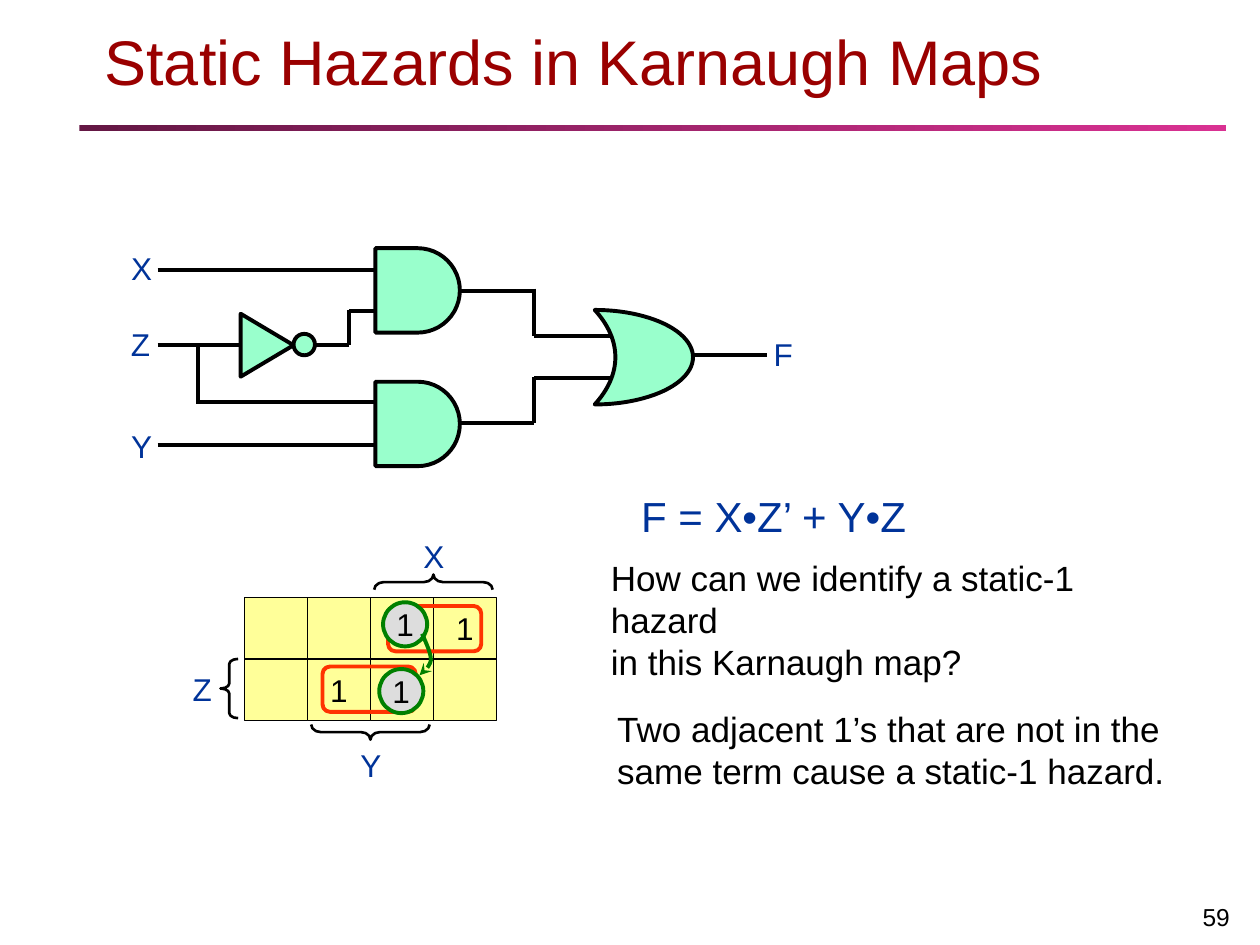
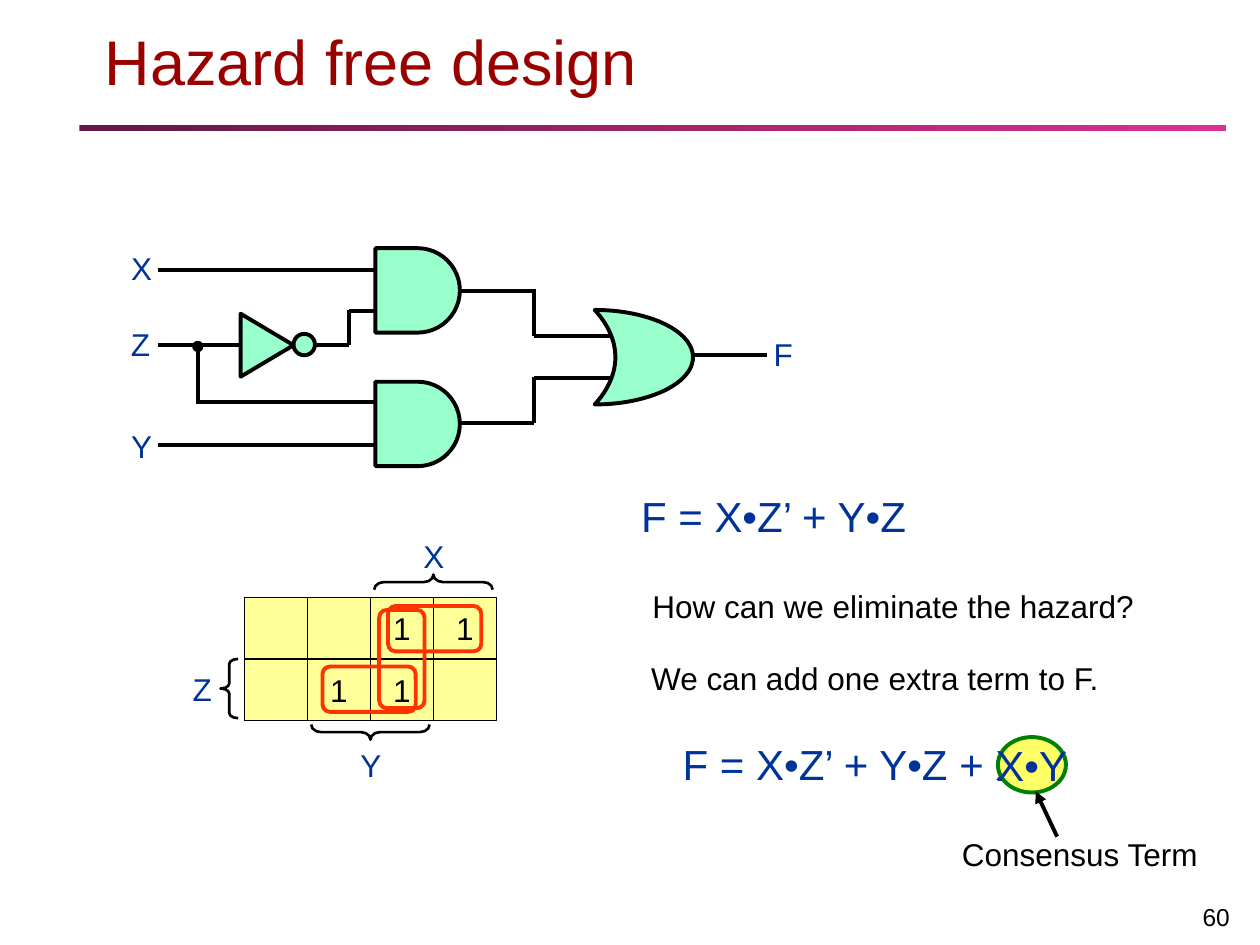
from pptx import Presentation
from pptx.dml.color import RGBColor
from pptx.enum.shapes import MSO_CONNECTOR, MSO_SHAPE
from pptx.enum.text import MSO_ANCHOR, MSO_AUTO_SIZE, PP_ALIGN
from pptx.oxml.xmlchemy import OxmlElement
from pptx.util import Inches, Pt

BLACK = "000000"
BLUE = "003399"
GREEN = "008000"
ORANGE = "FF3300"
MINT = "99FFCC"
CELL_YELLOW = "FFFF99"
TITLE_RED = "9A0000"


def paint(shape, fill=None, line=BLACK, width=2.25, arrow=None):
    """Set fill, outline and end arrow, and switch the shadow off."""
    if fill:
        shape.fill.solid()
        shape.fill.fore_color.rgb = RGBColor.from_string(fill)
    elif hasattr(shape, "fill"):
        shape.fill.background()
    if line:
        shape.line.color.rgb = RGBColor.from_string(line)
        shape.line.width = Pt(width)
    else:
        shape.line.fill.background()
    if arrow:
        tail = OxmlElement("a:tailEnd")
        tail.set("type", arrow)
        shape.line._get_or_add_ln().append(tail)
    shape.element.spPr.append(OxmlElement("a:effectLst"))


def write(shape, text, size=18, color=BLACK, align=PP_ALIGN.CENTER,
          anchor=MSO_ANCHOR.MIDDLE, wrap=False):
    frame = shape.text_frame
    frame.auto_size = MSO_AUTO_SIZE.NONE
    frame.word_wrap = wrap
    frame.vertical_anchor = anchor
    frame.text = text
    for paragraph in frame.paragraphs:
        paragraph.alignment = align
        paragraph.font.name = "Arial"
        paragraph.font.size = Pt(size)
        paragraph.font.color.rgb = RGBColor.from_string(color)


presentation = Presentation()
presentation.slide_width = Inches(10)
presentation.slide_height = Inches(7.5)
layout = presentation.slide_layouts[5]

# Circuit: wires as (x1, y1, x2, y2), gates as (preset, frame, rotation, adjustment)
WIRES = [
    (1.25, 2.14, 2.98, 2.14), (1.25, 2.74, 2.77, 2.74), (1.25, 3.53, 2.98, 3.53),
    (2.77, 2.46, 2.77, 2.74), (2.77, 2.47, 2.98, 2.47),
    (1.57, 2.74, 1.57, 3.21), (1.57, 3.19, 2.98, 3.19),
    (3.65, 2.31, 4.24, 2.31), (4.24, 2.29, 4.24, 2.67), (4.24, 2.67, 4.85, 2.67),
    (3.65, 3.36, 4.24, 3.36), (4.24, 2.99, 4.24, 3.36), (4.24, 3, 4.85, 3),
    (5.5, 2.82, 6.09, 2.82),
]
GATES = [
    (MSO_SHAPE.ISOSCELES_TRIANGLE, (1.87, 2.53, 0.5, 0.42), 90, 0.5),
    (MSO_SHAPE.OVAL, (2.33, 2.65, 0.17, 0.17), 0, None),
    (MSO_SHAPE.FLOWCHART_DELAY, (2.98, 1.97, 0.67, 0.67), 0, None),
    (MSO_SHAPE.FLOWCHART_DELAY, (2.98, 3.03, 0.67, 0.67), 0, None),
    (MSO_SHAPE.MOON, (4.72, 2.46, 0.78, 0.75), 180, 0.79),
]
SIGNAL_LABELS = [
    ("X", 0.94, 1.93, 0.37), ("Z", 0.94, 2.53, 0.35), ("Y", 0.94, 3.34, 0.37),
    ("F", 6.04, 2.61, 0.35),
    ("X", 3.26, 4.21, 0.37), ("Z", 1.43, 5.27, 0.35), ("Y", 2.76, 5.87, 0.37),
]

# Karnaugh map
MAP_LEFT, MAP_TOP, CELL_WIDTH, CELL_HEIGHT = 1.94, 4.74, 0.5, 0.49
MAP_ROWS = [["", "", "1", "1"], ["", "1", "1", ""]]
BRACES = [
    ((3.38, 4.15, 0.12, 0.94), 90, 0.63),
    ((1.75, 5.23, 0.14, 0.47), 0, 0.28),
    ((2.88, 5.34, 0.12, 0.94), 270, 0.63),
]
TERM_LOOPS = [(3.08, 4.81), (2.56, 5.29)]
LOOP_WIDTH, LOOP_HEIGHT = 0.74, 0.36

slides = []
for number, title_text in [(59, "Static Hazards in Karnaugh Maps"),
                           (60, "Hazard free design")]:
    slide = presentation.slides.add_slide(layout)
    slides.append(slide)
    shapes = slide.shapes

    title = shapes.title
    title.left, title.top, title.width, title.height = map(
        Inches, (0.73, 0.13, 8.93, 0.7))
    write(title, title_text, size=36, color=TITLE_RED, align=PP_ALIGN.LEFT,
          anchor=MSO_ANCHOR.BOTTOM, wrap=True)
    page_number = shapes.add_textbox(*map(Inches, (9.3, 6.94, 0.56, 0.5)))
    write(page_number, str(number), size=14, align=PP_ALIGN.RIGHT,
          anchor=MSO_ANCHOR.BOTTOM, wrap=True)

    for wire_ends in WIRES:
        paint(shapes.add_connector(MSO_CONNECTOR.STRAIGHT, *map(Inches, wire_ends)))
    for preset, frame, rotation, adjustment in GATES:
        gate = shapes.add_shape(preset, *map(Inches, frame))
        gate.rotation = rotation
        if adjustment:
            gate.adjustments[0] = adjustment
        paint(gate, MINT)

    for text, left, top, width in SIGNAL_LABELS:
        label = shapes.add_textbox(*map(Inches, (left, top, width, 0.4)))
        write(label, text, color=BLUE)

    for frame, rotation, curvature in BRACES:
        brace = shapes.add_shape(MSO_SHAPE.LEFT_BRACE, *map(Inches, frame))
        brace.rotation = rotation
        brace.adjustments[0] = curvature
        paint(brace, width=1.5)
    for row, values in enumerate(MAP_ROWS):
        for column, value in enumerate(values):
            cell = shapes.add_shape(
                MSO_SHAPE.RECTANGLE,
                Inches(MAP_LEFT + column * CELL_WIDTH),
                Inches(MAP_TOP + row * CELL_HEIGHT),
                Inches(CELL_WIDTH), Inches(CELL_HEIGHT))
            paint(cell, CELL_YELLOW, width=0.75)
            if value:
                write(cell, value)
    for left, top in TERM_LOOPS:
        term_loop = shapes.add_shape(
            MSO_SHAPE.ROUNDED_RECTANGLE,
            *map(Inches, (left, top, LOOP_WIDTH, LOOP_HEIGHT)))
        paint(term_loop, line=ORANGE)

    formula = shapes.add_textbox(*map(Inches, (4.98, 3.84, 2.32, 0.5)))
    write(formula, "F = X•Z’ + Y•Z", size=24, color=BLUE)

hazard_slide, design_slide = slides

# The title rule belongs to the layout, so both slides inherit it
title_rule = hazard_slide.shapes.add_shape(
    MSO_SHAPE.RECTANGLE, *map(Inches, (0.63, 0.99, 9.1, 0.05)))
paint(title_rule, line=None)
title_rule.fill.gradient()
title_rule.fill.gradient_angle = 0
for stop, color in zip(title_rule.fill.gradient_stops, ("641744", "D93192")):
    stop.color.rgb = RGBColor.from_string(color)
layout.shapes.element.append(title_rule.element)

# Explanations as (slide, text, frame, size, colour)
EXPLANATIONS = [
    (hazard_slide, "How can we identify a static-1 hazard\nin this Karnaugh map?",
     (4.75, 4.53, 4.5, 0.77), 20, BLACK),
    (hazard_slide,
     "Two adjacent 1’s that are not in the\nsame term cause a static-1 hazard.",
     (4.8, 5.56, 4.8, 0.77), 20, BLACK),
    (design_slide, "How can we eliminate the hazard?", (5.08, 4.61, 4.2, 0.4), 18, BLACK),
    (design_slide, "We can add one extra term to F.", (5.07, 5.18, 4.2, 0.4), 18, BLACK),
    (design_slide, "F = X•Z’ + Y•Z + X•Y", (5.32, 5.81, 3.6, 0.5), 24, BLUE),
]
for slide, text, frame, size, color in EXPLANATIONS:
    explanation = slide.shapes.add_textbox(*map(Inches, frame))
    write(explanation, text, size=size, color=color, align=PP_ALIGN.LEFT, wrap=True)

# Slide 59: the two adjacent ones and the transition between them
for left, top in [(3.04, 4.78), (3.01, 5.31)]:
    adjacent_one = hazard_slide.shapes.add_shape(
        MSO_SHAPE.OVAL, *map(Inches, (left, top, 0.35, 0.35)))
    paint(adjacent_one, "DDDDDD", GREEN)
    write(adjacent_one, "1")

TRANSITION_CURVES = [
    [(3.35, 5.03), (3.38, 5.1), (3.42, 5.18), (3.42, 5.24)],
    [(3.42, 5.24), (3.41, 5.29), (3.37, 5.33), (3.33, 5.36)],
]
STEPS = 6
curve_points = []
for controls in TRANSITION_CURVES:
    for step in range(1, STEPS + 1):
        t = step / STEPS
        weights = ((1 - t) ** 3, 3 * t * (1 - t) ** 2, 3 * t ** 2 * (1 - t), t ** 3)
        curve_points.append(tuple(
            Inches(sum(weight * value for weight, value in zip(weights, axis)))
            for axis in zip(*controls)))
builder = hazard_slide.shapes.build_freeform(*map(Inches, TRANSITION_CURVES[0][0]))
builder.add_line_segments(curve_points, close=False)
paint(builder.convert_to_shape(), line=GREEN, arrow="stealth")

# Slide 60: the consensus term on the map, in the formula and by name
consensus_loop = design_slide.shapes.add_shape(
    MSO_SHAPE.ROUNDED_RECTANGLE, *map(Inches, (2.8, 5.05, 0.78, LOOP_HEIGHT)))
consensus_loop.rotation = 270
paint(consensus_loop, line=ORANGE)

consensus_term = design_slide.shapes.add_shape(
    MSO_SHAPE.OVAL, *map(Inches, (7.92, 5.85, 0.54, 0.44)))
paint(consensus_term, "FFFF66", GREEN)
write(consensus_term, "X•Y", size=24, color=BLUE)

consensus_label = design_slide.shapes.add_textbox(*map(Inches, (7.52, 6.58, 2.1, 0.4)))
write(consensus_label, "Consensus Term")
consensus_arrow = design_slide.shapes.add_connector(
    MSO_CONNECTOR.STRAIGHT, *map(Inches, (8.39, 6.64, 8.22, 6.28)))
paint(consensus_arrow, arrow="triangle")

junction_dot = design_slide.shapes.add_shape(
    MSO_SHAPE.OVAL, *map(Inches, (1.53, 2.71, 0.08, 0.08)))
paint(junction_dot, BLACK, width=0.75)

presentation.save("out.pptx")
